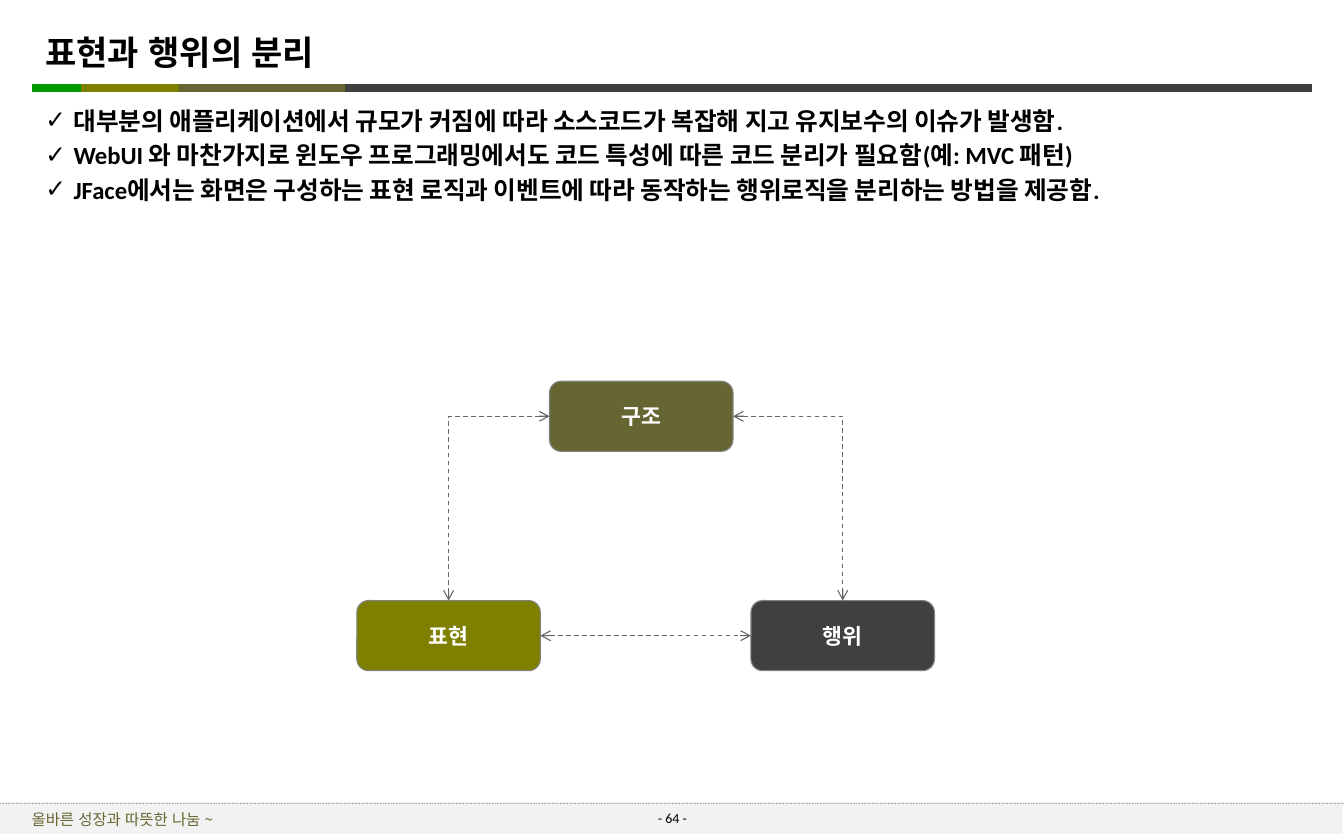
from lxml.etree import SubElement
from pptx import Presentation
from pptx.dml.color import RGBColor
from pptx.enum.dml import MSO_LINE_DASH_STYLE as Dash
from pptx.enum.lang import MSO_LANGUAGE_ID as Language
from pptx.enum.shapes import MSO_CONNECTOR as Connector, MSO_SHAPE as Preset
from pptx.enum.text import MSO_ANCHOR as Anchor, PP_ALIGN as Align
from pptx.oxml.ns import qn
from pptx.util import Cm, Pt

SLIDE_WIDTH, SLIDE_HEIGHT = Pt(870), Pt(540)
LATIN, KOREAN = "Calibri", "Noto Sans CJK KR"
TITLE = "표현과 행위의 분리"
BULLETS = [
    "대부분의 애플리케이션에서 규모가 커짐에 따라 소스코드가 복잡해 지고 유지보수의 이슈가 발생함.",
    "WebUI 와 마찬가지로 윈도우 프로그래밍에서도 코드 특성에 따른 코드 분리가 필요함(예: MVC 패턴)",
    "JFace에서는 화면은 구성하는 표현 로직과 이벤트에 따라 동작하는 행위로직을 분리하는 방법을 제공함.",
]
PAGE_NUMBER = "- 64 -"
MOTTO = "올바른 성장과 따뜻한 나눔 ~"
RULE_Y = 2.01
RULE_PARTS = [
    (7.57, 29.95, "404040"),
    (0.74, 2.77, "009900"),
    (1.85, 4.22, "808000"),
    (4.09, 7.87, "666633"),
]
BOX_SIZE = (4.19, 1.6)
BOXES = {
    "구조": (12.55, 8.71, "666633"),
    "표현": (8.15, 13.72, "808000"),
    "행위": (17.15, 13.72, "404040"),
}
TOP, LEFT, RIGHT = 0, 1, 3
LINKS = [
    ("구조", LEFT, "표현", TOP, "bentConnector2"),
    ("표현", RIGHT, "행위", LEFT, "line"),
    ("구조", RIGHT, "행위", TOP, "bentConnector2"),
]


def color(value):
    return RGBColor.from_string(value)


def add_run(paragraph, text, size, font, fill, bold=False):
    run = paragraph.add_run()
    run.text = text
    run.font.size = Pt(size)
    run.font.bold = bold
    run.font.language_id = Language.KOREAN
    run.font.name = font
    run.font.color.rgb = color(fill)
    SubElement(run.font._element, qn("a:ea"), typeface=font)


def add_line(slide, start, end, fill, width):
    line = slide.shapes.add_connector(
        Connector.STRAIGHT, *[Cm(value) for value in (*start, *end)])
    line.line.color.rgb = color(fill)
    line.line.width = Pt(width)
    SubElement(line._element.spPr, qn("a:effectLst"))
    return line


def add_box(slide, preset, place, fill):
    shape = slide.shapes.add_shape(preset, *[Cm(value) for value in place])
    shape.shadow.inherit = False
    shape.fill.solid()
    shape.fill.fore_color.rgb = color(fill)
    shape.line.fill.background()
    return shape


def add_text_frame(slide, place):
    frame = slide.shapes.add_textbox(*[Cm(value) for value in place]).text_frame
    frame.word_wrap = True
    return frame


def set_margins(frame):
    frame.margin_left = frame.margin_right = Cm(0.1)
    frame.margin_top = frame.margin_bottom = Cm(0.1)


def add_frame(slide):
    for start, end, fill in RULE_PARTS:
        add_line(slide, (start, RULE_Y), (end, RULE_Y), fill, 5)
    add_box(slide, Preset.RECTANGLE, (0, 18.31, 30.66, 0.74), "F2F2F2")
    paragraph = add_text_frame(slide, (13.03, 18.34, 4.65, 0.66)).paragraphs[0]
    paragraph.alignment = Align.CENTER
    paragraph.line_spacing = 1.05
    add_run(paragraph, PAGE_NUMBER, 9, LATIN, "000000")
    border = add_line(slide, (0, 18.34), (SLIDE_WIDTH.cm, 18.34), "A6A6A6", 0.5)
    border.line.dash_style = Dash.ROUND_DOT
    frame = add_text_frame(slide, (0, 18.39, 5.59, 0.66))
    frame.vertical_anchor = Anchor.MIDDLE
    frame.paragraphs[0].alignment = Align.CENTER
    add_run(frame.paragraphs[0], MOTTO, 10, KOREAN, "666633")


def add_title(slide):
    title = slide.shapes.title
    title.left, title.top, title.width, title.height = (
        Cm(value) for value in (0.94, 0.38, 25.4, 1.6))
    frame = title.text_frame
    set_margins(frame)
    frame.vertical_anchor = Anchor.MIDDLE
    frame.paragraphs[0].alignment = Align.LEFT
    add_run(frame.paragraphs[0], TITLE, 22, KOREAN, "000000", True)


def add_bullets(slide):
    frame = add_text_frame(slide, (0.94, 2.31, 29.21, 2.54))
    set_margins(frame)
    for index, text in enumerate(BULLETS):
        paragraph = frame.add_paragraph() if index else frame.paragraphs[0]
        properties = paragraph._p.get_or_add_pPr()
        properties.set("marL", str(Cm(0.64)))
        properties.set("indent", str(-Cm(0.64)))
        bullet_color = SubElement(properties, qn("a:buClr"))
        SubElement(bullet_color, qn("a:srgbClr"), val="000000")
        SubElement(properties, qn("a:buFont"), typeface=LATIN)
        SubElement(properties, qn("a:buChar"), char="✓")
        if index:
            paragraph.space_before = Pt(3.2)
        add_run(paragraph, text, 16, LATIN, "000000", True)


def add_diagram(slide):
    boxes = {}
    for label, (left, top, fill) in BOXES.items():
        box = add_box(slide, Preset.ROUNDED_RECTANGLE, (left, top, *BOX_SIZE), fill)
        box.line.color.rgb = color("808080")
        box.line.width = Pt(0.75)
        box.text_frame.vertical_anchor = Anchor.MIDDLE
        paragraph = box.text_frame.paragraphs[0]
        paragraph.alignment = Align.CENTER
        add_run(paragraph, label, 14, LATIN, "FFFFFF", True)
        boxes[label] = box
    for source, source_side, target, target_side, geometry in LINKS:
        link = add_line(slide, (0, 0), (0, 0), "666666", 0.75)
        link.begin_connect(boxes[source], source_side)
        link.end_connect(boxes[target], target_side)
        link._element.spPr.find(qn("a:prstGeom")).set("prst", geometry)
        link.line.dash_style = Dash.DASH
        for end in ("a:headEnd", "a:tailEnd"):
            SubElement(link.line._get_or_add_ln(), qn(end), type="arrow")


def main():
    presentation = Presentation()
    presentation.slide_width = SLIDE_WIDTH
    presentation.slide_height = SLIDE_HEIGHT
    slide = presentation.slides.add_slide(presentation.slide_layouts[5])
    add_frame(slide)
    add_title(slide)
    add_bullets(slide)
    add_diagram(slide)
    presentation.save("out.pptx")


if __name__ == "__main__":
    main()
